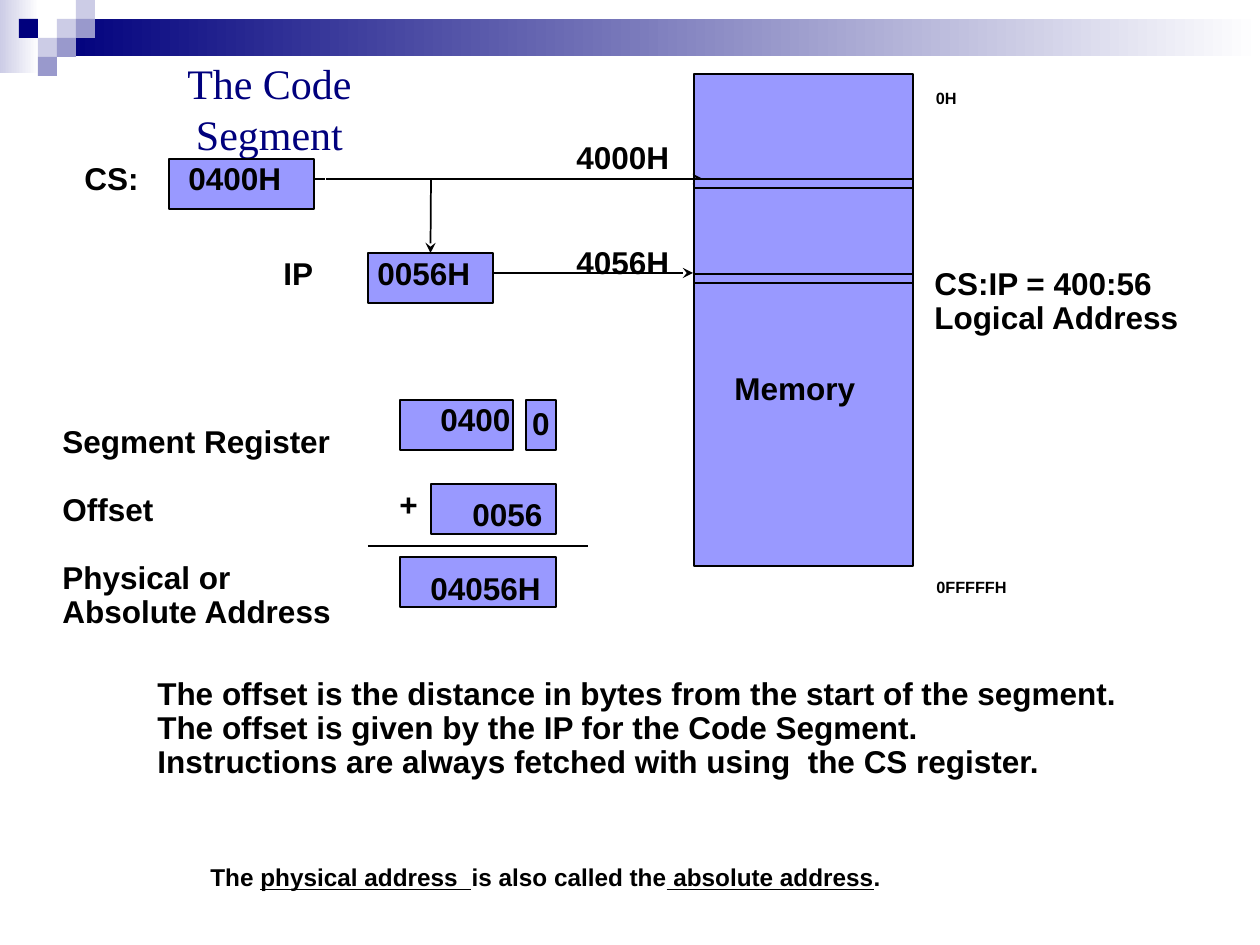
"""Builds the Code Segment slide: logical and physical addresses."""
from lxml import etree
from pptx import Presentation
from pptx import util as u
from pptx.dml.color import RGBColor
from pptx.enum import shapes, text
from pptx.oxml.ns import qn

NAVY = RGBColor(0x00, 0x00, 0x7D)
PALE = RGBColor(0xCC, 0xCC, 0xE6)
LILAC = RGBColor(0x99, 0x99, 0xCC)
PERIWINKLE = RGBColor(0x99, 0x99, 0xFF)
BLACK = RGBColor(0, 0, 0)
WHITE = RGBColor(0xFF, 0xFF, 0xFF)


class Deck:
    """Holds the style and the current slide."""

    scale = 914400 / 126
    label_font = "Arial"
    label_size = 18
    line_spacing = 0.9

    def __init__(self, prs):
        prs.slide_width, prs.slide_height = self.emu(1260, 945)
        self.s = prs.slides.add_slide(prs.slide_layouts[6])

    def emu(self, *px):
        return [u.Emu(round(v * self.scale)) for v in px]

    def rect(self, x, y, w, h, fill):
        sp = self.s.shapes.add_shape(shapes.MSO_SHAPE.RECTANGLE, *self.emu(x, y, w, h))
        sp.shadow.inherit = False
        sp.fill.solid()
        sp.fill.fore_color.rgb = fill
        sp.line.fill.background()
        return sp

    def fade(self, x, y, w, h, left):
        sp = self.rect(x, y, w, h, left)
        sp.fill.gradient()
        sp.fill.gradient_angle = 180
        for stop, color in zip(sp.fill.gradient_stops, (WHITE, left)):
            stop.color.rgb = color

    def box(self, x, y, w, h=50):
        sp = self.rect(x, y, w, h, PERIWINKLE)
        sp.line.color.rgb = BLACK
        sp.line.width = u.Pt(1)
        return sp

    def line(self, x1, y1, x2, y2, arrow=False, end=None):
        c = self.s.shapes.add_connector(
            shapes.MSO_CONNECTOR.STRAIGHT, *self.emu(x1, y1, x2, y2))
        if end:
            c.end_connect(*end)
        c.line.color.rgb = BLACK
        c.line.width = u.Pt(1)
        if arrow:
            etree.SubElement(c.line._get_or_add_ln(), qn("a:tailEnd"), type="stealth")
        etree.SubElement(c._element.spPr, qn("a:effectLst"))

    def style(self, p, size=None):
        p.line_spacing = self.line_spacing
        f = p.font
        f.name, f.size, f.bold = self.label_font, u.Pt(size or self.label_size), True
        f.color.rgb = BLACK

    def frame(self, x, y, w, h):
        tf = self.s.shapes.add_textbox(*self.emu(x, y, w, h)).text_frame
        tf.word_wrap = False
        tf.auto_size = text.MSO_AUTO_SIZE.SHAPE_TO_FIT_TEXT
        return tf

    def title(self, x, y, w, h, words):
        tf = self.frame(x, y, w, h)
        tf.margin_left = tf.margin_right = u.Inches(0.07)
        tf.margin_top = tf.margin_bottom = u.Inches(0.03)
        p = tf.paragraphs[0]
        p.text = words
        p.alignment = text.PP_ALIGN.CENTER
        p.font.name, p.font.size = "Times New Roman", u.Pt(24)
        p.font.color.rgb = NAVY

    def label(self, x, y, w, h, *lines, gaps=()):
        tf = self.frame(x, y, w, h)
        tf.text = "\n".join(lines)
        for i, p in enumerate(tf.paragraphs):
            self.style(p)
            if i in gaps:
                p.space_before = u.Pt(19.4)

    def lowered(self, x, y, w, h, size, *runs):
        p = self.frame(x, y, w, h).paragraphs[0]
        self.style(p, size)
        for words, underline in runs:
            r = p.add_run()
            r.text = words
            r.font.underline = underline
            r._r.get_or_add_rPr().set("baseline", "-25000")

    def digit(self, sp, words):
        tf = sp.text_frame
        tf.word_wrap = False
        tf.vertical_anchor = text.MSO_ANCHOR.MIDDLE
        p = tf.paragraphs[0]
        p.text = words
        p.alignment = text.PP_ALIGN.CENTER
        self.style(p)


def main():
    prs = Presentation()
    d = Deck(prs)

    d.fade(0, 0, 39, 73, PALE)
    d.fade(57, 19, 1203, 37, NAVY)
    tile = 19
    for col, row, color in ((3, 1, PALE), (4, 0, PALE), (4, 1, LILAC), (2, 2, PALE),
                            (1, 1, NAVY), (3, 2, LILAC), (2, 3, LILAC)):
        d.rect(col * tile, row * tile, tile, tile, color)
    d.title(100, 54, 339, 58, "The Code Segment")

    d.box(694, 74, 219, 492)
    d.box(169, 159, 145)
    ip_box = d.box(368, 253, 125)
    d.line(326, 179, 703, 179, arrow=True)
    d.line(431, 179, 431, 252, arrow=True, end=(ip_box, 0))
    d.line(494, 273, 693, 273, arrow=True)
    for y in (179, 274):
        d.box(694, y, 219, 9)
    d.label(722, 367, 146, 47, "Memory")

    d.label(50, 420, 295, 217, "Segment Register", "Offset", "Physical or",
            "Absolute Address", gaps=(1, 2))
    d.box(400, 400, 113)
    d.digit(d.box(526, 400, 30), "0")
    d.box(431, 484, 125)
    d.line(368, 546, 588, 546)
    d.box(400, 557, 156)
    d.line(315, 179, 325, 179)

    for x, y, w, words in (
            (387, 483, 44, "+"), (72, 157, 79, "CS:"), (271, 252, 55, "IP"),
            (176, 157, 118, "0400H"), (365, 252, 118, "0056H"),
            (564, 136, 118, "4000H"), (564, 241, 118, "4056H"),
            (428, 398, 96, "0400"), (460, 493, 96, "0056"), (418, 567, 136, "04056H")):
        d.label(x, y, w, 47, words)

    d.label(145, 672, 984, 115,
            "The offset is the distance in bytes from the start of the segment.",
            "The offset is given by the IP for the Code Segment.",
            "Instructions are always fetched with using  the CS register.")
    d.label(922, 262, 271, 81, "CS:IP = 400:56", "Logical Address")
    d.lowered(919, 64, 50, 47, 16, (" 0H", False))
    d.lowered(924, 553, 96, 47, 16, ("0FFFFFH", False))
    d.lowered(198, 829, 696, 64, 24, ("The ", False), ("physical address  ", True),
              ("is also called the", False), (" absolute address", True), (".", False))

    prs.save("out.pptx")


if __name__ == "__main__":
    main()
